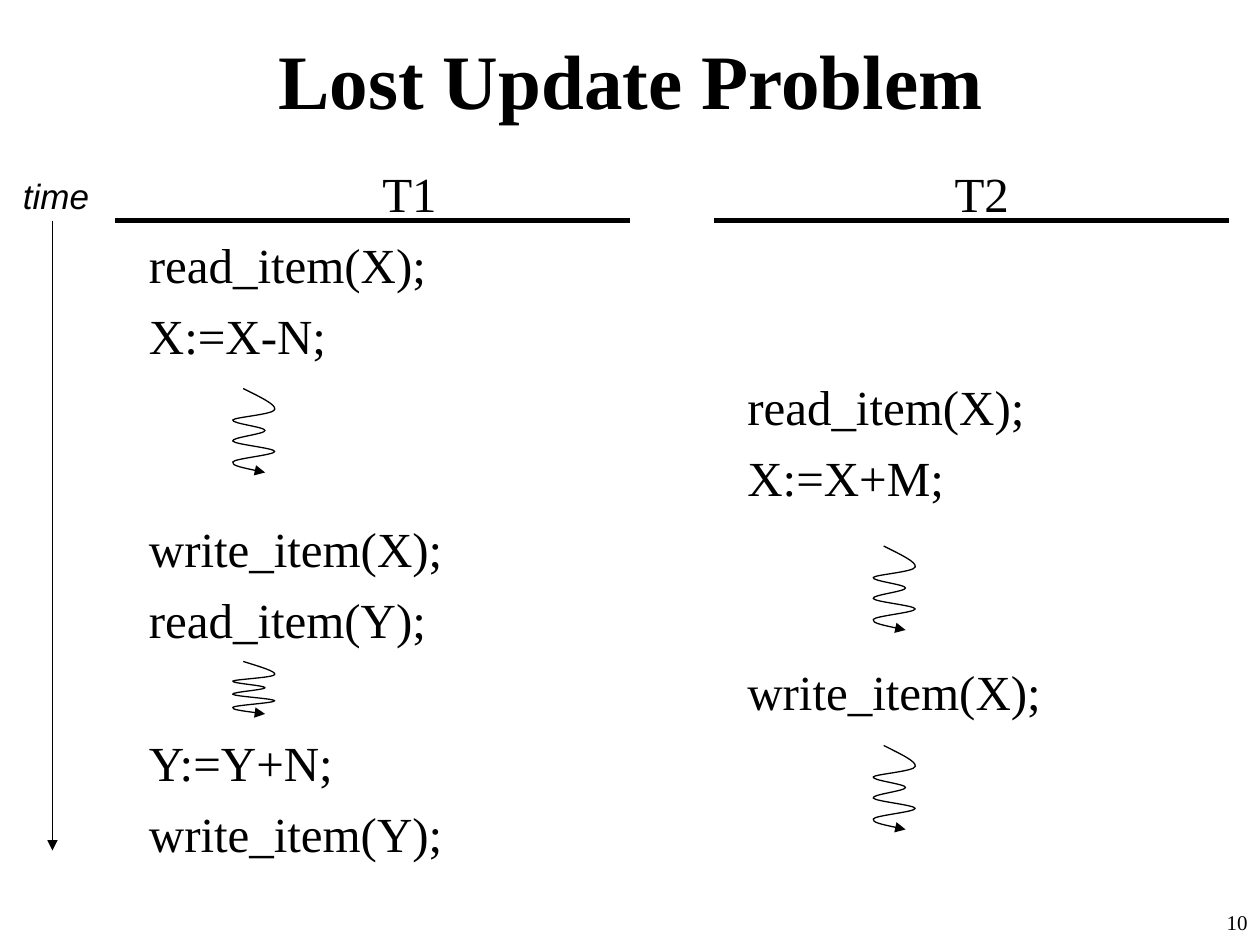
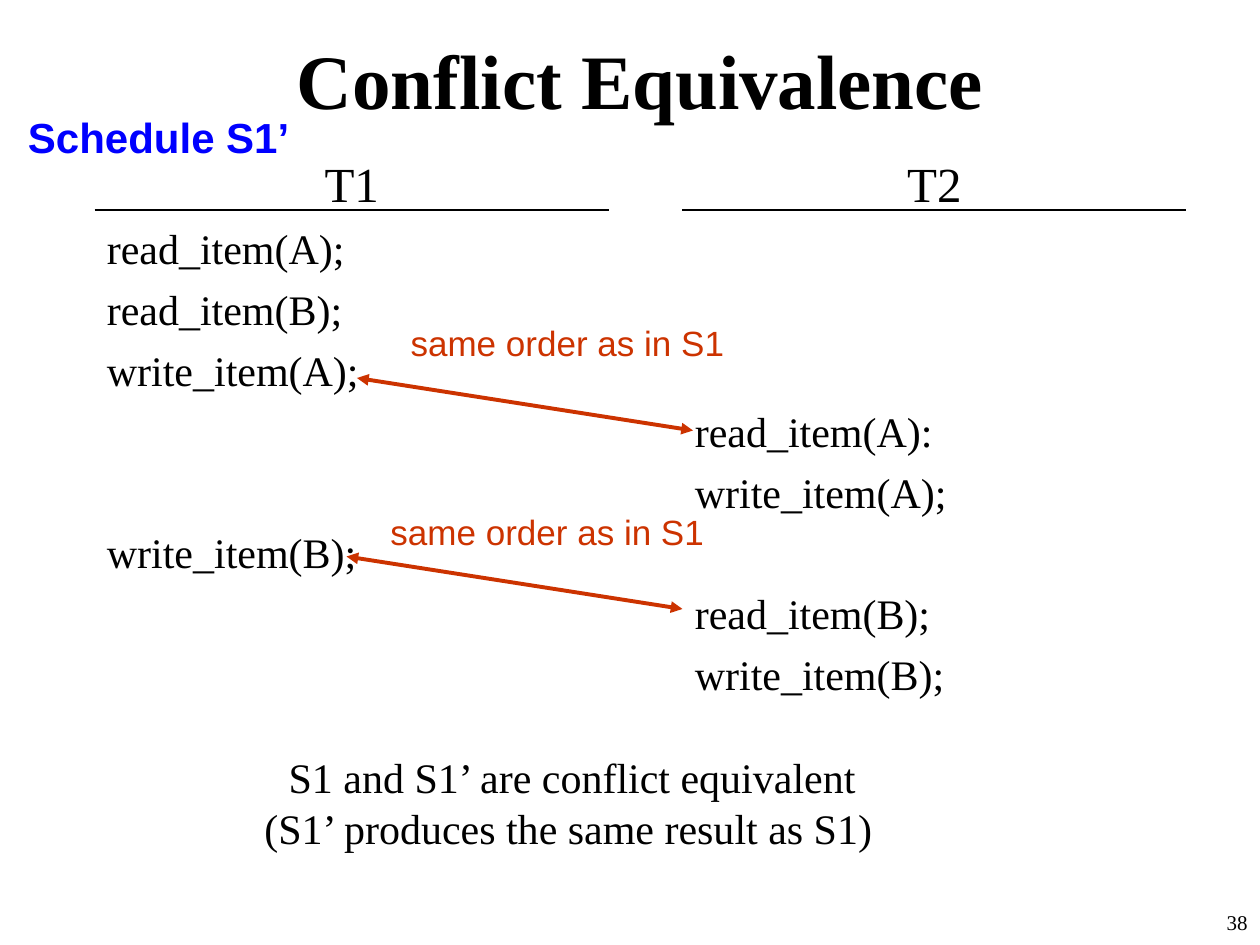
from pptx import Presentation as Deck
from pptx.dml.color import RGBColor as Rgb
from pptx.enum.shapes import MSO_CONNECTOR as Link
from pptx.enum.text import MSO_ANCHOR as Anchor, PP_ALIGN as Align
from pptx.oxml.ns import qn
from pptx.oxml.xmlchemy import OxmlElement as Node
from pptx.util import Pt

INK = {"text": "000000", "mark": "0000FF", "note": "CC3300"}
SERIF, SANS = "Times New Roman", "Arial"
WAVE_X = [7, 16.5, 26, 25, 24.5, 2, 1, 0, 19.5, 19.5, 19.5,
          0, 1, 2, 25, 25, 25, 2, 1, 0, 10, 19.5]
WAVE_Y = [0, 2.4, 4.6, 6, 7.4, 8.2, *range(9, 25)]


class Page:
    """Draw styled elements on the current slide."""

    def __init__(self):
        self.deck = Deck()
        self.deck.slide_width, self.deck.slide_height = Pt(720), Pt(540)
        self.slide = None

    def start(self, title, number):
        self.slide = self.deck.slides.add_slide(self.deck.slide_layouts[6])
        self.text((570, 516, 150, 36), [number], 12, align=Align.RIGHT)
        self.text((30, 0, 672, 90), [title], 44, align=Align.CENTER,
                  frame={"vertical_anchor": Anchor.MIDDLE}, bold=True)

    def text(self, box, rows, size, ink="text", face=SERIF, align=Align.LEFT,
             frame=None, **font):
        area = self.slide.shapes.add_textbox(*map(Pt, box)).text_frame
        for key, val in {"word_wrap": True, **(frame or {})}.items():
            setattr(area, key, val)
        for i, row in enumerate(rows):
            para = area.paragraphs[0] if i == 0 else area.add_paragraph()
            self.fill(para, row, size, ink, face, align, **font)
        return area

    def fill(self, para, words, size, ink="text", face=SERIF, align=Align.LEFT,
             before=0, **font):
        form = {"alignment": align, "line_spacing": Pt(1.2 * size),
                "space_before": Pt(before)}
        for key, val in form.items():
            setattr(para, key, val)
        run = para.add_run()
        run.text = words
        for key, val in {"name": face, "size": Pt(size), **font}.items():
            setattr(run.font, key, val)
        run.font.color.rgb = Rgb.from_string(INK[ink])

    def label(self, left, top, width, words, ink="text", **font):
        self.text((left, top, width, 31.5), [words], 20, ink, SANS, **font)

    def column(self, box, head, rows, size):
        area = self.text(box, [head], 28, align=Align.CENTER)
        gap, skip = size / 4, 0
        for row in rows:
            if row is None:
                skip += 1
                continue
            before = gap + skip * (1.2 * size + gap)
            self.fill(area.add_paragraph(), row, size, before=before)
            skip = 0

    def stroke(self, shape, ink, width, ends):
        shape.line.color.rgb = Rgb.from_string(INK[ink])
        shape.line.width = Pt(width)
        edge = shape.element.find(qn("p:spPr")).find(qn("a:ln"))
        for end in ends:
            tip = Node(f"a:{end}End")
            tip.set("type", "triangle")
            edge.append(tip)

    def line(self, start, stop, width, ink="text", ends=()):
        link = self.slide.shapes.add_connector(
            Link.STRAIGHT, *map(Pt, (*start, *stop)))
        self.stroke(link, ink, width, ends)
        link.element.find(qn("p:spPr")).append(Node("a:effectLst"))

    def wave(self, left, top, high):
        dots = [(Pt(left + x), Pt(top + high * y / 24))
                for x, y in zip(WAVE_X, WAVE_Y)]
        pen = self.slide.shapes.build_freeform(*dots[0])
        pen.add_line_segments(dots[1:], close=False)
        shape = pen.convert_to_shape()
        legs = shape.element.xpath(".//a:lnTo")
        for i in range(0, len(legs), 3):
            curve = Node("a:cubicBezTo")
            legs[i].addprevious(curve)
            for leg in legs[i:i + 3]:
                curve.append(leg[0])
                leg.getparent().remove(leg)
        shape.fill.background()
        shape.shadow.inherit = False
        self.stroke(shape, "text", 0.74, ["tail"])

    def save(self):
        self.deck.save("out.pptx")


page = Page()

page.start("Lost Update Problem ", "10")
page.column((78, 90, 312, 408), "T1",
            ["read_item(X);", "X:=X-N;", None, None, "write_item(X);",
             "read_item(Y);", None, "Y:=Y+N;", "write_item(Y);"], 28)
page.column((420, 90, 282, 408), "T2",
            [None, None, "read_item(X);", "X:=X+M;", None, None,
             "write_item(X);"], 28)
page.line((30, 126), (30, 486), 0.99, ends=["tail"])
page.label(6, 96, 58, "time", italic=True)
for left in (66, 408):
    page.line((left, 126), (left + 294, 126), 3)
for left, top, high in ((132, 222, 48), (132, 378, 30), (498, 426, 48), (498, 312, 48)):
    page.wave(left, top, high)

page.start("Conflict Equivalence", "38")
page.column((54, 84, 294, 354), "T1",
            ["read_item(A);", "read_item(B);", "write_item(A);", None, None,
             "write_item(B);"], 24)
page.column((390, 84, 288, 408), "T2",
            [None, None, None, "read_item(A):", "write_item(A);", None,
             "read_item(B);", "write_item(B);"], 24)
for left, width in ((54, 294), (390, 288)):
    page.line((left, 120), (left + width, 120), 0.74)
close = page.text((144, 426, 366, 65),
                  ["S1 and S1’ are conflict equivalent",
                   "(S1’ produces the same result as S1)"], 24)
close.paragraphs[0].alignment = Align.CENTER
page.text((6, 60, 168, 36), ["Schedule S1’ "], 24, "mark", SANS, Align.CENTER, bold=True)
for start, stop, spot in (((204, 216), (396, 246), (227.5, 180)),
                          ((198, 318), (390, 348), (216, 288))):
    page.line(start, stop, 2.24, "note", ["head", "tail"])
    page.label(*spot, 198, "same order as in S1", "note")

page.save()
